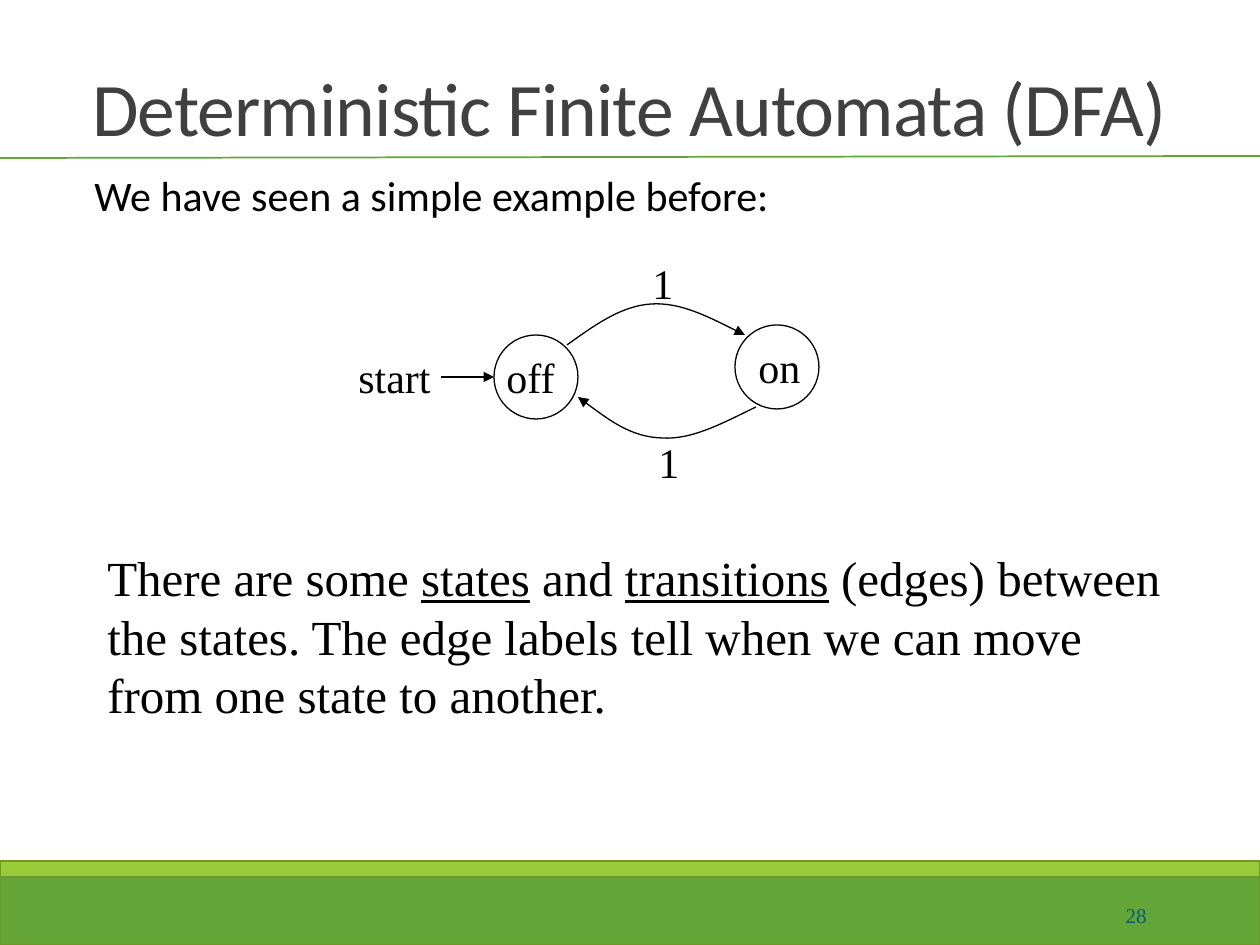
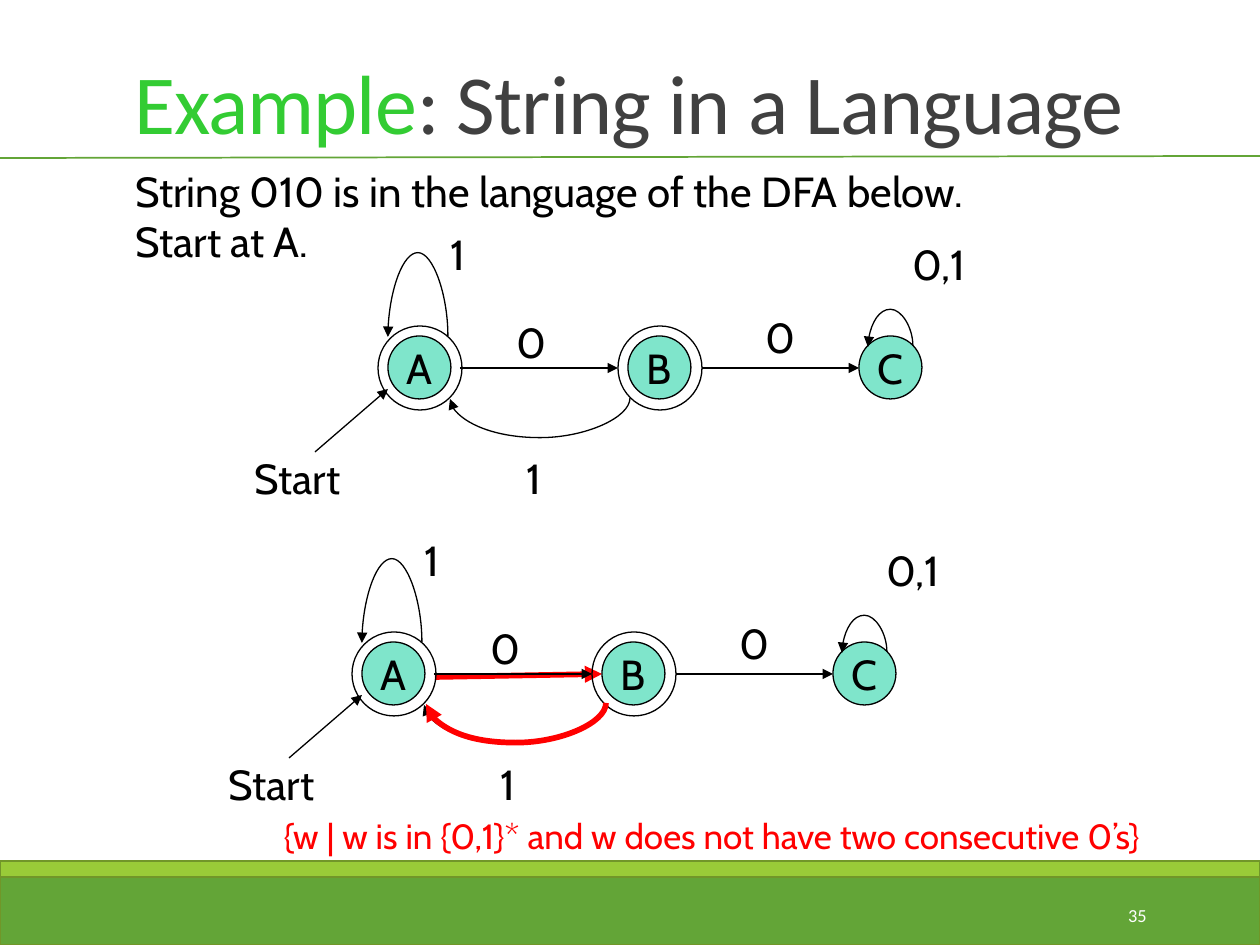
from lxml.etree import SubElement
from pptx import Presentation
from pptx.dml.color import RGBColor
from pptx.enum.shapes import MSO_CONNECTOR, MSO_SHAPE
from pptx.enum.text import MSO_ANCHOR, MSO_AUTO_SIZE, PP_ALIGN
from pptx.oxml.ns import qn
from pptx.util import Pt

PX = 7257  # EMU in one px, at 126 px to the inch
BLACK = RGBColor(0x00, 0x00, 0x00)
WHITE = RGBColor(0xFF, 0xFF, 0xFF)
RED = RGBColor(0xFF, 0x00, 0x00)
GREY = RGBColor(0x40, 0x40, 0x40)
TEAL = RGBColor(0x04, 0x5C, 0x75)
MINT = RGBColor(0x00, 0xCC, 0x99)
BRIGHT_GREEN = RGBColor(0x33, 0xCC, 0x33)
GREEN = RGBColor(0x63, 0xA5, 0x37)
LIME = RGBColor(0x99, 0xCB, 0x38)
OLIVE = RGBColor(0x71, 0x96, 0x29)
CALIBRI, TIMES, CABIN = "Calibri", "Times New Roman", "Cabin"


def write(box, text, font, size, color=BLACK, align=PP_ALIGN.LEFT, wrap=False):
    """Fill a box with text, one paragraph a line, and return the first paragraph."""
    frame = box.text_frame
    frame.text = text
    frame.word_wrap = wrap
    for para in frame.paragraphs:
        para.alignment = align
        para.font.name = font
        para.font.size = Pt(size)
        para.font.color.rgb = color
    return frame.paragraphs[0]


def connect(page, start, end, color=BLACK, width=0.75, depth=0, arrow=True):
    """Draw a line; a depth bends it down (or up, if negative) between level ends."""
    (x1, y1), (x2, y2) = start, end
    if depth:
        span = x1 - x2
        left = (x1 + x2 - 1) * PX // 2
        top = (2 * y1 + 1 - span) * PX // 2
        line = page.shapes.add_connector(
            MSO_CONNECTOR.CURVE, left, top, left + PX, top + span * PX)
        properties = line._element.spPr
        frame = properties.find(qn("a:xfrm"))
        frame.set("rot", str((90 if depth > 0 else 270) * 60000))
        if depth < 0:
            frame.set("flipH", "1")
            frame.set("flipV", "1")
        geometry = properties.find(qn("a:prstGeom"))
        guides = geometry.find(qn("a:avLst"))
        if guides is None:
            guides = SubElement(geometry, qn("a:avLst"))
        SubElement(guides, qn("a:gd"), name="adj1", fmla=f"val {depth * 100000}")
    else:
        line = page.shapes.add_connector(
            MSO_CONNECTOR.STRAIGHT, x1 * PX, y1 * PX, x2 * PX, y2 * PX)
    line.line.color.rgb = color
    line.line.width = Pt(width)
    if arrow:
        SubElement(line.line._get_or_add_ln(), qn("a:tailEnd"), type="triangle")
    SubElement(line._element.spPr, qn("a:effectLst"))


deck = Presentation()
deck.slide_width = 1260 * PX
deck.slide_height = 945 * PX
ovals = []

# Bands, title and page number
headers = [
    ([("Deterministic Finite Automata (DFA)", GREY)], 43.2, "28", TIMES, 12, TEAL),
    ([("Example", BRIGHT_GREEN), (": String in a Language", GREY)],
     48, "35", CALIBRI, 10.5, WHITE),
]
for title, title_size, number, number_font, number_size, number_color in headers:
    page = deck.slides.add_slide(deck.slide_layouts[6])
    for top, height, color in ((872, 73, GREEN), (861, 16, LIME)):
        band = page.shapes.add_shape(
            MSO_SHAPE.RECTANGLE, 0, top * PX, 1260 * PX, height * PX)
        band.shadow.inherit = False
        band.fill.solid()
        band.fill.fore_color.rgb = color
        band.line.color.rgb = OLIVE
        band.line.width = Pt(1.25)
    connect(page, (-4, 158), (1260, 156), GREEN, 1, arrow=False)

    box = page.shapes.add_textbox(62 * PX, 32 * PX, 1134 * PX, 126 * PX)
    para = write(box, "", CALIBRI, title_size, GREY, PP_ALIGN.CENTER, True)
    box.text_frame.vertical_anchor = MSO_ANCHOR.BOTTOM
    para.line_spacing = 0.85
    para.font._element.set("spc", "-50")
    for text, color in title:
        span = para.add_run()
        span.text = text
        span.font.color.rgb = color

    box = page.shapes.add_textbox(1023 * PX, 890 * PX, 136 * PX, 50 * PX)
    write(box, number, number_font, number_size, number_color, PP_ALIGN.RIGHT, True)
    box.text_frame.vertical_anchor = MSO_ANCHOR.MIDDLE

automata_page, language_page = deck.slides

# Two-state switch
page = automata_page
box = page.shapes.add_textbox(82 * PX, 169 * PX, 1115 * PX, 60 * PX)
write(box, "We have seen a simple example before:", CALIBRI, 24, wrap=True).line_spacing = 0.9

for left, top in ((494, 335), (735, 325)):
    state = page.shapes.add_shape(
        MSO_SHAPE.OVAL, left * PX, top * PX, 84 * PX, 84 * PX)
    state.fill.background()
    ovals.append(state)

off_to_on = [(567, 345), (595, 325), (621, 306), (651, 304),
             (680, 302), (713, 319), (745, 335)]
on_to_off = [(756, 407), (723, 423), (692, 440), (662, 438),
             (631, 437), (605, 417), (578, 397)]
for points in (off_to_on, on_to_off):
    builder = page.shapes.build_freeform(*points[0], scale=PX)
    builder.add_line_segments(points[1:], close=False)
    edge = builder.convert_to_shape()
    edge.shadow.inherit = False
    edge.fill.background()
    edge.line.color.rgb = BLACK
    edge.line.width = Pt(0.75)
    SubElement(edge.line._get_or_add_ln(), qn("a:tailEnd"), type="triangle")
    # Each three straight segments become one Bézier segment
    segments = list(edge._element.iter(qn("a:lnTo")))
    outline = segments[0].getparent()
    for first in range(0, len(segments), 3):
        bezier = SubElement(outline, qn("a:cubicBezTo"))
        for segment in segments[first:first + 3]:
            bezier.append(segment[0])
            outline.remove(segment)

connect(page, (441, 377), (494, 377))
switch_labels = [("off", 494, 345, 76), ("on", 746, 335, 69), ("start", 346, 345, 102),
                 ("1", 640, 251, 47), ("1", 646, 430, 47)]
for text, left, top, width in switch_labels:
    box = page.shapes.add_textbox(left * PX, top * PX, width * PX, 63 * PX)
    write(box, text, TIMES, 24)
    box.text_frame.auto_size = MSO_AUTO_SIZE.SHAPE_TO_FIT_TEXT

box = page.shapes.add_textbox(95 * PX, 541 * PX, 1081 * PX, 189 * PX)
para = write(box, "", TIMES, 28, wrap=True)
for text, underlined in (
        ("There are some ", False), ("states", True), (" and ", False),
        ("transitions", True),
        (" (edges) between the states. The edge labels tell when we can move "
         "from one state to another.", False)):
    span = para.add_run()
    span.text = text
    span.font.underline = underlined

# The same three-state automaton twice, the lower one with its path in red
page = language_page
box = page.shapes.add_textbox(123 * PX, 159 * PX, 910 * PX, 115 * PX)
write(box, "String 010 is in the language of the DFA below.\nStart at A.", CABIN, 24)
box.text_frame.auto_size = MSO_AUTO_SIZE.SHAPE_TO_FIT_TEXT

connect(page, (435, 677), (602, 674), RED, 3.25)
labels = [("Start", 242, 446, 113), ("0", 504, 310, 48), ("1", 514, 446, 48),
          ("0", 753, 305, 48), ("1", 438, 222, 48), ("0,1", 900, 232, 84)]
arrows = [((315, 452), (388, 389), 0), ((460, 368), (618, 368), 0),
          ((702, 368), (859, 368), 0), ((448, 336), (388, 336), -84),
          ((630, 398), (450, 398), 40), ((913, 346), (868, 346), -37)]
for dx, dy in ((0, 0), (-26, 306)):
    for name, left in (("A", 388), ("C", 859), ("B", 628)):
        state = page.shapes.add_shape(
            MSO_SHAPE.OVAL, (left + dx) * PX, (336 + dy) * PX, 63 * PX, 63 * PX)
        state.fill.solid()
        state.fill.fore_color.rgb = MINT
        fill_color = state._element.spPr.find(".//" + qn("a:srgbClr"))
        SubElement(fill_color, qn("a:alpha"), val="50000")
        write(state, name, CABIN, 24, align=PP_ALIGN.CENTER)
        state.text_frame.vertical_anchor = MSO_ANCHOR.MIDDLE
        ovals.append(state)
    for left in (378, 618):
        ring = page.shapes.add_shape(
            MSO_SHAPE.OVAL, (left + dx) * PX, (326 + dy) * PX, 84 * PX, 84 * PX)
        ring.fill.background()
        ovals.append(ring)
    for (x1, y1), (x2, y2), depth in arrows:
        connect(page, (x1 + dx, y1 + dy), (x2 + dx, y2 + dy), depth=depth)
    for text, left, top, width in labels:
        box = page.shapes.add_textbox(
            (left + dx) * PX, (top + dy) * PX, width * PX, 63 * PX)
        write(box, text, CABIN, 24)
        box.text_frame.auto_size = MSO_AUTO_SIZE.SHAPE_TO_FIT_TEXT
connect(page, (606, 703), (426, 703), RED, 3.25, depth=40)

box = page.shapes.add_textbox(123 * PX, 808 * PX, 1178 * PX, 55 * PX)
write(box, "{w | w is in {0,1}* and w does not have two consecutive 0’s}",
      CABIN, 20, RED, PP_ALIGN.CENTER, True)

for oval in ovals:
    oval.shadow.inherit = False
    oval.line.color.rgb = BLACK
    oval.line.width = Pt(0.75)

deck.save("out.pptx")
